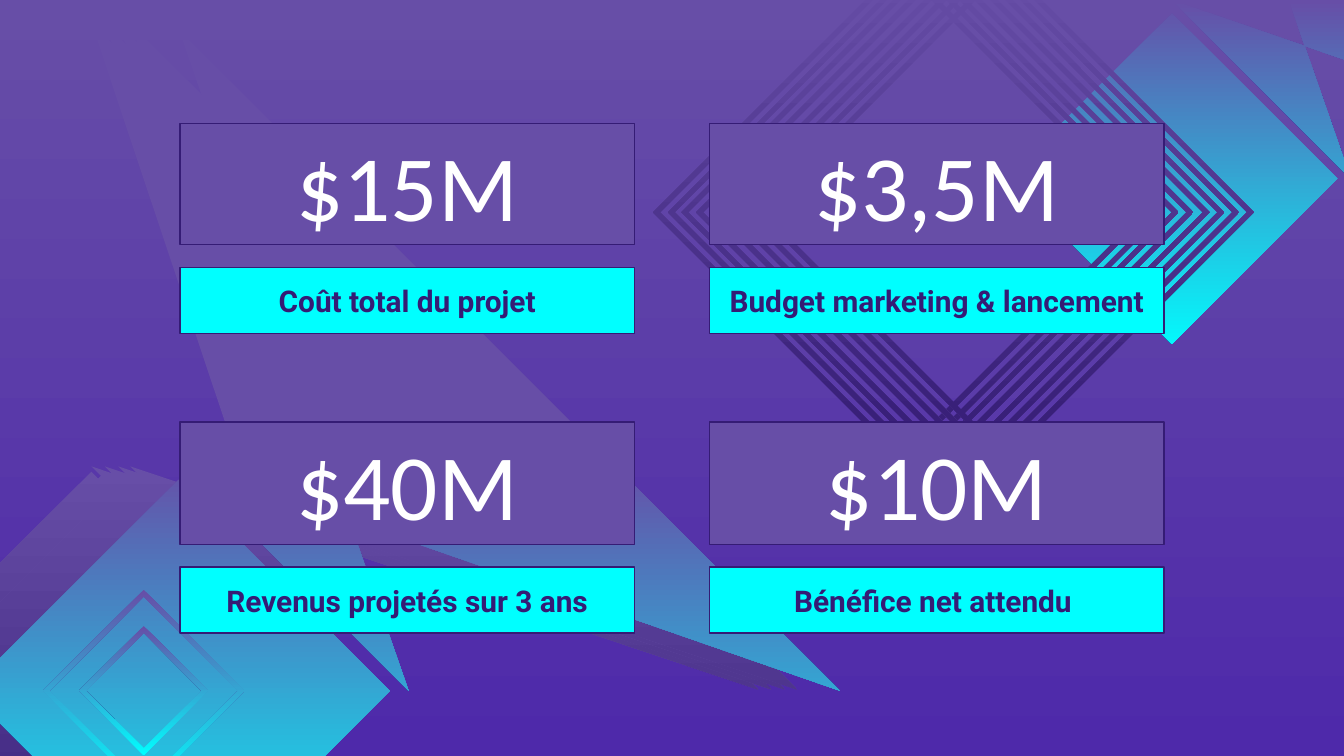
import pptx
import pptx.dml.color
import pptx.enum.shapes
import pptx.enum.text
import pptx.oxml.ns
import pptx.util
from pptx.util import Inches

COLORS = {"purple": "674EA7", "violet": "4E29AA", "dark": "351C75",
          "cyan": "00FFFF", "white": "FFFFFF"}


def rgb(name):
    return pptx.dml.color.RGBColor.from_string(COLORS[name])


def add_ornament(center_x, center_y, half, inner, end_color, tip=None):
    """Draw a diamond ring, or a diamond with a long-tipped blade when tip is given."""
    diamond = [(inner, 0), (0, inner), (-inner, 0), (0, -inner)]
    if tip:
        second = [(0, -tip), (half, 0), (0, -half), (tip, 0)]
    else:
        second = [(0, half), (half, 0), (0, -half), (-half, 0)]
    contours = [[(Inches(center_x + x), Inches(center_y + y)) for x, y in contour]
                for contour in (diamond, second)]
    builder = slide.shapes.build_freeform(*contours[0][0], scale=1.0)
    builder.add_line_segments(contours[0][1:])
    builder.move_to(*contours[1][0])
    builder.add_line_segments(contours[1][1:])
    shape = builder.convert_to_shape()

    # The frame holds the diamond only, so the gradient spans it and the blade reaches outside
    left, top, size = Inches(center_x - half), Inches(center_y - half), Inches(2 * half)
    shift_x, shift_y = shape.left - left, shape.top - top
    path = shape._element.find(".//" + pptx.oxml.ns.qn("a:path"))
    for point in path.iter(pptx.oxml.ns.qn("a:pt")):
        point.set("x", str(int(point.get("x")) + shift_x))
        point.set("y", str(int(point.get("y")) + shift_y))
    for name in ("w", "h"):
        path.set(name, str(size))
    for name, value in {"left": left, "top": top, "width": size, "height": size}.items():
        setattr(shape, name, value)

    shape.shadow.inherit = False
    shape.line.fill.background()
    shape.fill.gradient()
    shape.fill.gradient_angle = 270
    for stop, color in zip(shape.fill.gradient_stops, ("purple", end_color)):
        stop.color.rgb = rgb(color)


# Widescreen slide, 16:9
presentation = pptx.Presentation()
presentation.slide_width = Inches(10)
presentation.slide_height = Inches(10 * 9 / 16)
slide = presentation.slides.add_slide(presentation.slide_layouts[5])

# Background
background = slide.background.fill
background.gradient()
background.gradient_angle = 90
for stop, color in zip(background.gradient_stops, ("violet", "purple")):
    stop.color.rgb = rgb(color)

# Upper right ornament
add_ornament(8.72, 1.33, 1.33, 1.23, "cyan", tip=3.84)
for center_x in (7.03, 6.92, 6.82, 6.71, 7.48, 7.37, 7.26, 7.15):
    add_ornament(center_x, 1.58, 1.85, 1.8, "dark")

# Lower left ornament
for center_x in (0.68, 0.78, 0.88, 0.97):
    add_ornament(center_x, 5.13, 1.66, 1.62, "dark", tip=4.96)
add_ornament(1.33, 5.14, 1.71, 1.57, "cyan", tip=4.92)
for half, inner in ((0.75, 0.7), (0.48, 0.43)):
    add_ornament(1.07, 5.14, half, inner, "cyan")

# Key figures: two columns, two rows, an amount above its label
columns = (1.34, 5.28)
rows = [
    {"amount": (0.92, 0.9), "label": (1.99, 0.49),
     "texts": [("$15M", "Coût total du projet"),
               ("$3,5M", "Budget marketing & lancement")]},
    {"amount": (3.14, 0.91), "label": (4.22, 0.49),
     "texts": [("$40M", "Revenus projetés sur 3 ans"),
               ("$10M", "Bénéfice net attendu ")]},
]
styles = {
    "amount": {"fill": "purple", "color": "white",
               "font": {"name": "Calibri", "size": pptx.util.Pt(50), "bold": False}},
    "label": {"fill": "cyan", "color": "dark",
              "font": {"name": "Roboto", "size": pptx.util.Pt(16), "bold": True}},
}
frame_format = {"word_wrap": True, "auto_size": pptx.enum.text.MSO_AUTO_SIZE.NONE,
                "vertical_anchor": pptx.enum.text.MSO_ANCHOR.MIDDLE,
                "margin_left": Inches(0.1), "margin_right": Inches(0.1),
                "margin_top": Inches(0.1), "margin_bottom": Inches(0.1)}
title = slide.shapes.title
slide.shapes._spTree.append(title._element)  # in front of the ornaments
free_title = [title]  # the first amount is the slide title

for row in rows:
    for left, texts in zip(columns, row["texts"]):
        for part, text in zip(("amount", "label"), texts):
            top, height = row[part]
            box = {"left": Inches(left), "top": Inches(top),
                   "width": Inches(3.38), "height": Inches(height)}
            if free_title:
                shape = free_title.pop()
                for name, value in box.items():
                    setattr(shape, name, value)
            else:
                shape = slide.shapes.add_shape(
                    pptx.enum.shapes.MSO_SHAPE.RECTANGLE, *box.values())
                shape.shadow.inherit = False
            style = styles[part]
            shape.fill.solid()
            shape.fill.fore_color.rgb = rgb(style["fill"])
            shape.line.color.rgb = rgb("dark")
            shape.line.width = pptx.util.Pt(0.75)
            for name, value in frame_format.items():
                setattr(shape.text_frame, name, value)
            paragraph = shape.text_frame.paragraphs[0]
            paragraph.alignment = pptx.enum.text.PP_ALIGN.CENTER
            run = paragraph.add_run()
            run.text = text
            run.font.color.rgb = rgb(style["color"])
            for name, value in style["font"].items():
                setattr(run.font, name, value)

presentation.save("out.pptx")
